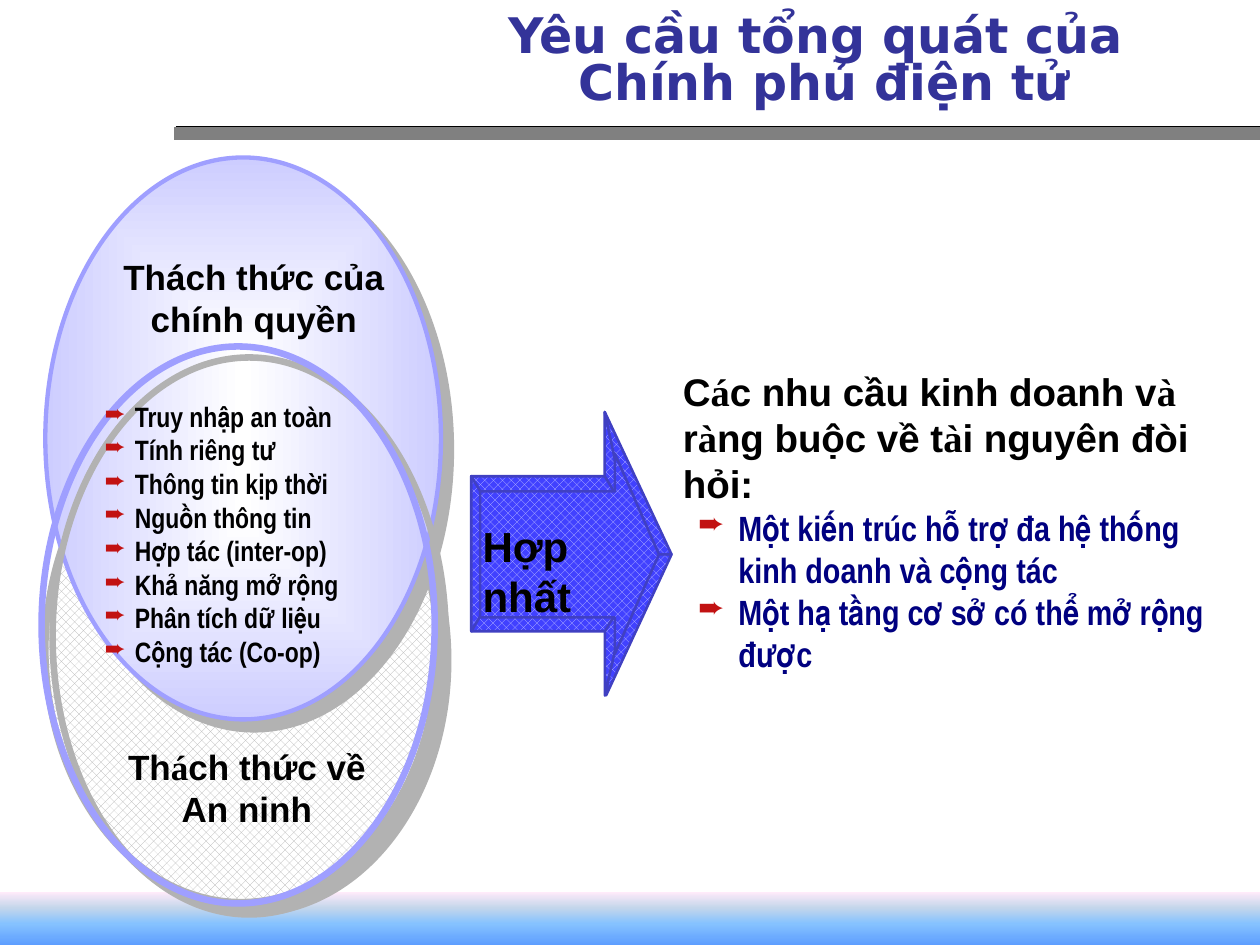
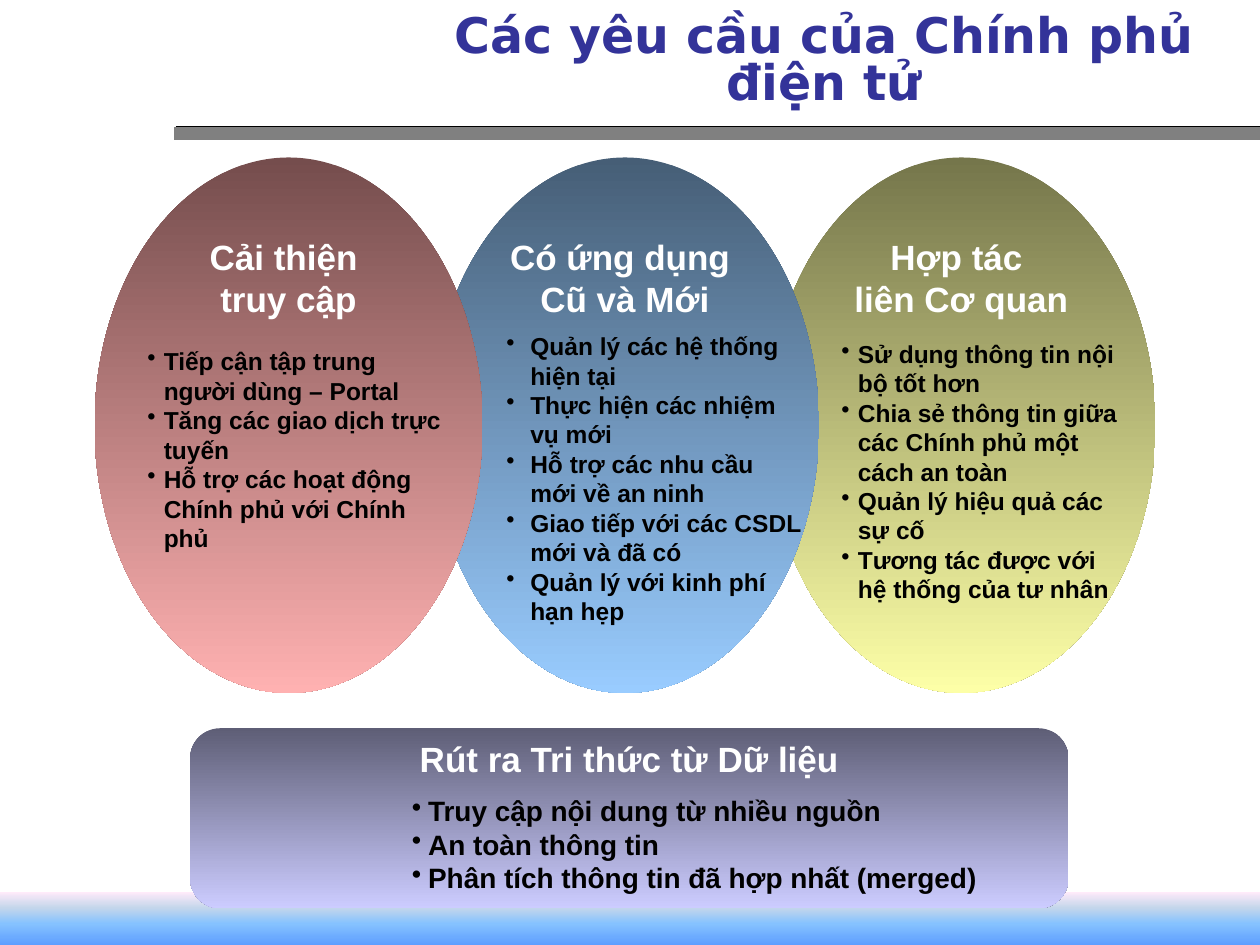
from itertools import cycle

from lxml import etree
from pptx import Presentation
from pptx.dml.color import RGBColor
from pptx.enum.dml import MSO_PATTERN
from pptx.enum.shapes import MSO_CONNECTOR, MSO_SHAPE
from pptx.enum.text import MSO_ANCHOR, PP_ALIGN
from pptx.oxml.ns import qn
from pptx.util import Inches, Pt

COLORS = {
    "title": "333399", "white": "FFFFFF", "black": "000000", "navy": "000080",
    "rule": "808080", "shadow": "B2B2B2", "bullet": "C21212",
    "lilac": "CDCDFF", "ring": "9F9FFF",
    "arrow": "4141FF", "arrow_hatch": "BFBFFF", "arrow_edge": "4040C2",
    "sky": "5E9EFF", "light_sky": "85C2FF", "mist": "C4D6EB", "blush": "FFEBFA",
    "red_dark": "754D4D", "red": "FFB1B1",
    "blue_dark": "465E76", "blue": "99CCFF",
    "olive_dark": "75764B", "olive": "FDFFA7",
    "violet_dark": "5E5E76", "violet": "CCCCFF",
}
SANS, NARROW, SERIF, TITLE_FONT = "Arial", "Arial Narrow", "Times New Roman", "DejaVu Sans"
NO_INSETS = (0, 0, 0, 0)
BOX_INSETS = (0.1, 0.05, 0.1, 0.05)


def rgb(name):
    return RGBColor.from_string(COLORS[name])


def child(parent, tag, **attributes):
    return etree.SubElement(parent, qn(f"a:{tag}"), {k: str(v) for k, v in attributes.items()})


def box(left, top, width, height):
    return Inches(left), Inches(top), Inches(width), Inches(height)


class Deck:
    def __init__(self):
        self.prs = Presentation()
        self.prs.slide_width, self.prs.slide_height = Inches(10), Inches(7.5)
        self.slide = None

    def add_slide(self, title):
        self.slide = self.prs.slides.add_slide(self.prs.slide_layouts[5])
        heading = self.slide.shapes.title
        heading.left, heading.top, heading.width, heading.height = box(3.08, 0, 6.92, 1)
        frame = heading.text_frame
        frame.word_wrap = True
        frame.vertical_anchor = MSO_ANCHOR.MIDDLE
        paragraph = frame.paragraphs[0]
        paragraph.alignment = PP_ALIGN.CENTER
        paragraph.line_spacing = 0.8
        for i, line in enumerate(title):
            if i:
                paragraph.add_line_break()
            self.run(paragraph, line, TITLE_FONT, 28, "title")
        self.rule()
        self.shape(MSO_SHAPE.RECTANGLE, (0, 7.08, 10, 0.42), angle=270,
                   stops=[(0, "sky"), (40, "light_sky"), (70, "mist"), (100, "blush")])

    def rule(self):
        line = self.slide.shapes.add_connector(
            MSO_CONNECTOR.STRAIGHT, Inches(1.38), Inches(1.06), Inches(10), Inches(1.06))
        line.line.color.rgb = rgb("rule")
        line.line.width = Pt(7)
        self.effects(line, ("black", 1.4, 315))

    def effects(self, shape, shadow=None):
        """Replace the theme shadow by (colour, distance, angle), or by none."""
        effect_list = child(shape._element.spPr, "effectLst")
        if shadow:
            color, distance, angle = shadow
            outer = child(effect_list, "outerShdw", dist=Pt(distance), dir=angle * 60000,
                          algn="ctr", rotWithShape=0)
            child(outer, "srgbClr", val=COLORS[color])

    def gradient(self, shape, stops, angle):
        """Fill along an angle, or from the centre outwards when angle is None."""
        shape.fill.gradient()
        fill = shape._element.spPr.find(qn("a:gradFill"))
        for old in list(fill):
            fill.remove(old)
        stop_list = child(fill, "gsLst")
        for position, color in stops:
            child(child(stop_list, "gs", pos=position * 1000), "srgbClr", val=COLORS[color])
        if angle is None:
            child(child(fill, "path", path="shape"), "fillToRect",
                  l=50000, t=50000, r=50000, b=50000)
        else:
            child(fill, "lin", ang=angle * 60000, scaled=0)

    def finish(self, shape, stops=None, angle=90, hatch=None, edge=None, shadow=None):
        if stops:
            self.gradient(shape, stops, angle)
        elif hatch:
            shape.fill.patterned()
            shape.fill.pattern = MSO_PATTERN.PERCENT_50
            shape.fill.fore_color.rgb, shape.fill.back_color.rgb = map(rgb, hatch)
        else:
            shape.fill.background()
        if edge:
            shape.line.color.rgb = rgb(edge[0])
            shape.line.width = Pt(edge[1])
        else:
            shape.line.fill.background()
        self.effects(shape, shadow)
        return shape

    def shape(self, preset, place, **look):
        return self.finish(self.slide.shapes.add_shape(preset, *box(*place)), **look)

    def facet(self, points, **look):
        start, *rest = [(Inches(x), Inches(y)) for x, y in points]
        builder = self.slide.shapes.build_freeform(*start)
        builder.add_line_segments(rest, close=True)
        return self.finish(builder.convert_to_shape(), **look)

    def run(self, paragraph, text, font, size, color):
        run = paragraph.add_run()
        run.text = text
        run.font.name, run.font.size, run.font.bold = font, Pt(size), True
        run.font.color.rgb = rgb(color)

    def frame(self, shape, insets, wrap):
        frame = shape.text_frame
        frame.word_wrap = wrap
        frame.vertical_anchor = MSO_ANCHOR.TOP
        (frame.margin_left, frame.margin_top,
         frame.margin_right, frame.margin_bottom) = box(*insets)
        return frame

    def paragraphs(self, frame, items, size, font=SANS, color="black",
                   align=PP_ALIGN.LEFT, bullet=None):
        """Add paragraphs; an item given as a list alternates between font and serif runs."""
        for item in items:
            first = frame.paragraphs[0]
            paragraph = frame.add_paragraph() if first.runs else first
            paragraph.alignment = align
            if bullet:
                self.bullet(paragraph, *bullet)
            parts = [item] if isinstance(item, str) else item
            for part, face in zip(parts, cycle([font, SERIF])):
                self.run(paragraph, part, face, size, color)

    def bullet(self, paragraph, sign, left, hang, color=None):
        props = paragraph._p.get_or_add_pPr()
        props.set("marL", str(Inches(left)))
        props.set("indent", str(-Inches(hang)))
        if color:
            child(child(props, "buClr"), "srgbClr", val=COLORS[color])
            child(props, "buSzPct", val=90000)
        child(props, "buChar", char=sign)

    def text(self, place, items, size, insets=NO_INSETS, **style):
        frame = self.frame(self.slide.shapes.add_textbox(*box(*place)), insets, True)
        self.paragraphs(frame, items, size, **style)
        return frame

    def caption(self, shape, lines, insets=NO_INSETS):
        self.paragraphs(self.frame(shape, insets, False), lines, 20,
                        color="white", align=PP_ALIGN.CENTER)


ARROW_FACETS = [
    [(4.81, 5.52), (5.33, 4.4), (5.16, 4.39), (4.86, 5.04)],
    [(4.74, 4.53), (4.8, 4.97), (4.8, 5.52), (4.9, 5.08), (5.03, 4.25)],
    [(4.8, 3.27), (5.33, 4.4), (5.17, 4.4), (4.86, 3.71)],
    [(3.74, 3.78), (3.74, 5.01), (4.62, 4.72), (4.61, 3.99)],
    [(4.73, 4.09), (4.8, 3.78), (4.8, 3.27), (4.89, 3.69), (5.03, 4.49)],
    [(3.83, 3.93), (3.74, 3.78), (4.8, 3.78), (5, 4.11)],
    [(3.86, 4.81), (3.74, 5.01), (4.8, 5.01), (4.99, 4.7)],
    [(5.23, 4.4), (4.88, 3.6), (4.88, 3.9), (3.81, 3.9),
     (3.81, 4.9), (4.88, 4.9), (4.88, 5.19)],
]

# Heading, gradient, list place, list insets, hanging indent, list items
PILLARS = [
    (["Cải thiện ", "truy cập"], ("red_dark", "red"), (1.17, 2.75, 2.33, 1.63), NO_INSETS, 0.13,
     ["Tiếp cận tập trung người dùng – Portal",
      "Tăng các giao dịch trực tuyến",
      "Hỗ trợ các hoạt động Chính phủ với Chính phủ"]),
    (["Có ứng dụng ", "Cũ và Mới"], ("blue_dark", "blue"), (3.92, 2.58, 2.58, 2.43), BOX_INSETS, 0.19,
     ["Quản lý các hệ thống hiện tại",
      "Thực hiện các nhiệm vụ mới",
      "Hỗ trợ các nhu cầu mới về an ninh",
      "Giao tiếp với các CSDL mới và đã có",
      "Quản lý với kinh phí hạn hẹp"]),
    (["Hợp tác ", "liên Cơ quan"], ("olive_dark", "olive"), (6.58, 2.64, 2.42, 2.19), BOX_INSETS, 0.13,
     ["Sử dụng thông tin nội bộ tốt hơn",
      "Chia sẻ thông tin giữa các Chính phủ một cách an toàn",
      "Quản lý hiệu quả các sự cố",
      "Tương tác được với hệ thống của tư nhân"]),
]


def general_requirements(deck):
    deck.add_slide(["Yêu cầu tổng quát của ", "Chính phủ điện tử"])
    shadow = ("shadow", 8.9, 45)
    deck.shape(MSO_SHAPE.OVAL, (0.36, 3.15, 3.11, 4.01), hatch=("shadow", "white"),
               edge=("shadow", 3.75), shadow=shadow)
    deck.shape(MSO_SHAPE.OVAL, (0.36, 1.25, 3.14, 4.46), stops=[(0, "white"), (100, "lilac")],
               angle=None, edge=("ring", 2.48), shadow=shadow)
    deck.text((0.84, 5.92, 2.24, 1), [["Th", "á", "ch thức về An ninh"]], 20,
              align=PP_ALIGN.CENTER)
    deck.shape(MSO_SHAPE.OVAL, (0.33, 2.75, 3.12, 4.42), edge=("ring", 3.75), shadow=shadow)
    deck.text((0.83, 3.17, 2.61, 2.17),
              ["Truy nhập an toàn", "Tính riêng tư", "Thông tin kịp thời", "Nguồn thông tin",
               "Hợp tác (inter-op)", "Khả năng mở rộng", "Phân tích dữ liệu",
               "Cộng tác (Co-op)"],
              16, font=NARROW, bullet=("➨", 0.24, 0.24, "bullet"))
    deck.text((0.7, 2.03, 2.63, 1), ["Thách thức của chính quyền"], 20, align=PP_ALIGN.CENTER)

    needs = deck.text(
        (5.42, 2.92, 4.23, 2.72),
        [["C", "á", "c nhu cầu kinh doanh v", "à", " r", "à", "ng buộc về t", "à",
          "i nguyên đòi hỏi:"]], 22)
    deck.paragraphs(needs, ["Một kiến trúc hỗ trợ đa hệ thống kinh doanh và cộng tác",
                            "Một hạ tầng cơ sở có thể mở rộng được"],
                    20, font=NARROW, color="navy", bullet=("➨", 0.44, 0.32, "bullet"))

    for points in ARROW_FACETS:
        deck.facet(points, hatch=("arrow_hatch", "arrow"), edge=("arrow_edge", 1.48))
    deck.text((3.83, 4.13, 1.43, 0.45), ["Hợp nhất"], 24)


def detailed_requirements(deck):
    deck.add_slide(["Các yêu cầu của Chính phủ điện tử"])
    for i, pillar in reversed(list(enumerate(PILLARS))):
        heading, (dark, light), place, insets, hang, items = pillar
        oval = deck.shape(MSO_SHAPE.OVAL, (0.75 + 2.67 * i, 1.25, 3.08, 4.25),
                          stops=[(0, dark), (100, light)])
        deck.caption(oval, heading)
        deck.text(place, items, 14, insets=insets, bullet=("•", hang, hang))

    knowledge = deck.shape(MSO_SHAPE.ROUNDED_RECTANGLE, (1.51, 5.78, 6.97, 1.43),
                           stops=[(0, "violet_dark"), (100, "violet")])
    deck.caption(knowledge, ["Rút ra Tri thức từ Dữ liệu"], (0.1, 0, 0.1, 0.05))
    deck.text((3.17, 6.25, 5, 0.9),
              ["Truy cập nội dung từ nhiều nguồn", "An toàn thông tin",
               "Phân tích thông tin đã hợp nhất (merged)"],
              16, insets=BOX_INSETS, bullet=("•", 0.13, 0.13))


def main():
    deck = Deck()
    general_requirements(deck)
    detailed_requirements(deck)
    deck.prs.save("out.pptx")


if __name__ == "__main__":
    main()
